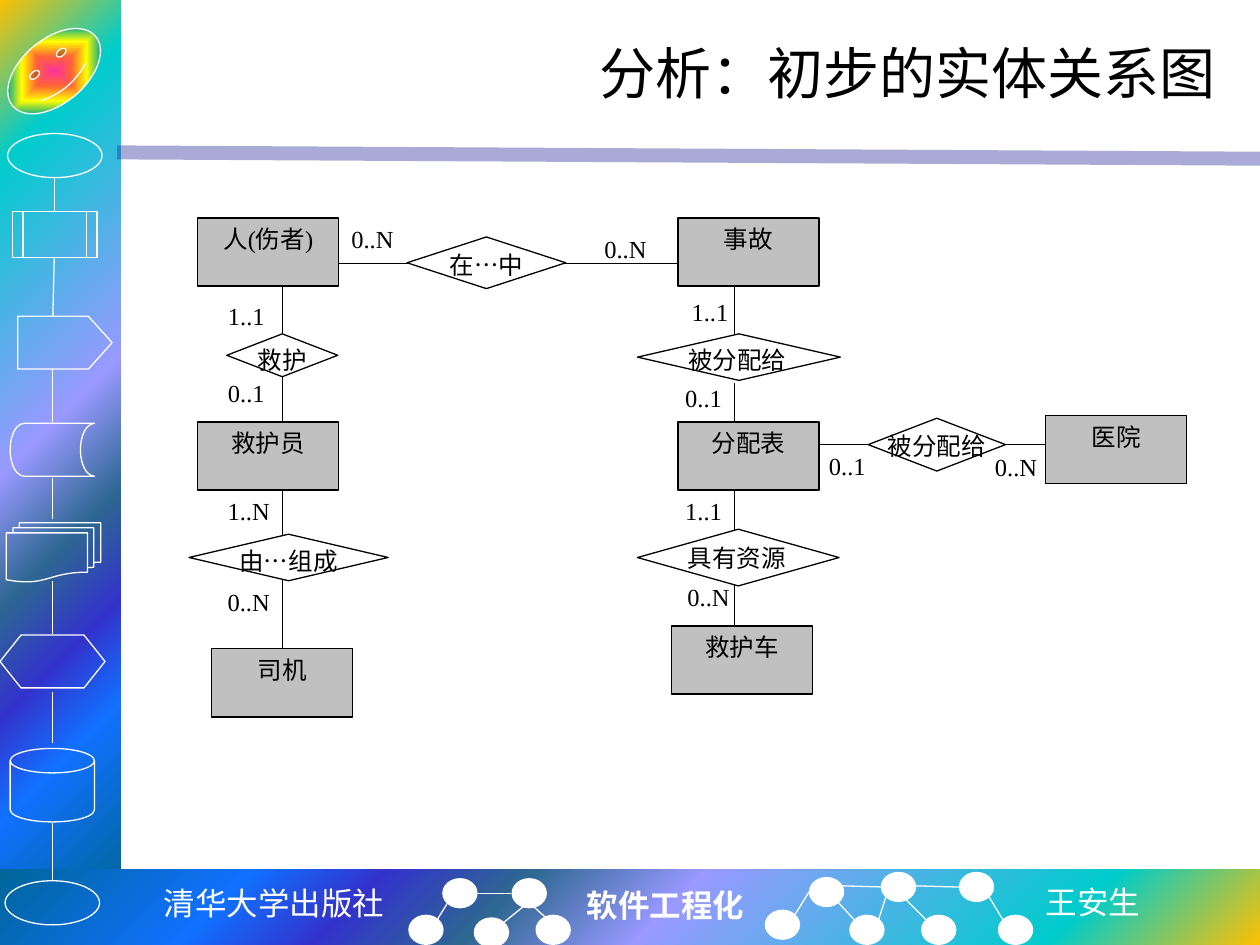
from lxml import etree
from pptx import Presentation
from pptx.dml.color import RGBColor
from pptx.enum.shapes import MSO_CONNECTOR, MSO_SHAPE
from pptx.enum.text import MSO_ANCHOR, PP_ALIGN
from pptx.oxml.ns import qn
from pptx.util import Pt

RECT, ELLIPSE = MSO_SHAPE.RECTANGLE, MSO_SHAPE.OVAL
DECISION = MSO_SHAPE.FLOWCHART_DECISION
STRAIGHT = MSO_CONNECTOR.STRAIGHT
LEFT, CENTER, RIGHT = PP_ALIGN.LEFT, PP_ALIGN.CENTER, PP_ALIGN.RIGHT
TOP, MIDDLE = MSO_ANCHOR.TOP, MSO_ANCHOR.MIDDLE

BLACK = RGBColor(0, 0, 0)
WHITE = RGBColor(255, 255, 255)
GRAY = RGBColor(0xC0, 0xC0, 0xC0)
RULE_BLUE = RGBColor(0x26, 0x26, 0x99)
SERIF, MONO, CJK = "Times New Roman", "Courier New", "Noto Sans CJK SC"

BAND_STOPS = [(0, "FFC000"), (16, "00CCCC"), (47, "9999FF"), (60, "2E6792"),
              (71, "3333CC"), (81, "1170FF"), (100, "006699")]
BADGE_STOPS = [(0, "FF3399"), (25, "FF6633"), (50, "FFFF00"),
               (75, "01A78F"), (100, "3366FF")]

FLOW_SYMBOLS = [
    (MSO_SHAPE.FLOWCHART_PREDEFINED_PROCESS, 7.2, 121, 48.2, 26),
    (MSO_SHAPE.FLOWCHART_STORED_DATA, 5.8, 241.9, 48.2, 30.2),
    (MSO_SHAPE.FLOWCHART_MAGNETIC_DISK, 5.8, 427.7, 48.2, 42),
    (MSO_SHAPE.FLOWCHART_PREPARATION, 0, 362.9, 60, 30.2),
    (MSO_SHAPE.FLOWCHART_MULTIDOCUMENT, 3.6, 298.8, 54, 33.8),
    (ELLIPSE, 4.3, 76.3, 54, 25.2),
    (ELLIPSE, 2.9, 503.3, 54, 25.2),
]
FLOW_LINKS = [(101, 121), (147.6, 180.7), (211, 241.2), (273, 296.6),
              (332, 362.2), (395.3, 424.8), (470.2, 503.3)]
NODES = [(252.7, 501.8), (462.2, 501.1), (233.3, 522.7), (485.3, 522.7),
         (503.3, 498.2), (270.7, 524.2), (547.9, 498.2), (570.2, 522.7),
         (526.3, 522.7), (292.3, 501.8), (437, 519.8), (306, 522.7)]
NODE_LINKS = [(249.8, 525.6, 255.6, 516.2), (288, 527, 299.5, 517.7),
              (292.3, 510.5, 272.9, 510.5), (488.2, 525.6, 478.8, 515.5),
              (529.2, 525.6, 514.8, 511.2), (573.1, 525.6, 565.2, 512.6),
              (501.8, 526.3, 506.2, 512.6), (522.7, 506.2, 547.9, 506.9),
              (454.3, 522.7, 462.2, 509.8), (481, 506.2, 506.2, 506.9),
              (312.5, 524.9, 305.3, 518.4)]

LEFT_COLUMN, RIGHT_COLUMN = 113, 387.4
ENTITIES = [("人(伤者)", LEFT_COLUMN, 124.6), ("救护员", LEFT_COLUMN, 241.2),
            ("司机", 121, 370.8), ("事故", RIGHT_COLUMN, 124.6),
            ("分配表", RIGHT_COLUMN, 241.2), ("救护车", 383.8, 357.8),
            ("医院", 597.6, 237.6)]
RELATION_LINES = [(161.3, 163.4, 161.3, 241.2), (161.3, 280.1, 161.3, 370.8),
                  (193.7, 150.7, 387.4, 150.7), (419.8, 163.4, 419.8, 241.2),
                  (419.8, 280.1, 419.8, 357.8), (468.4, 254.2, 597.6, 254.2)]
CARDINALITIES = [
    ("1..1", 110.2, 168.5, 48.2, RIGHT), ("0..1", 110.2, 212.4, 48.2, RIGHT),
    ("1..N", 96.5, 280.1, 64.8, RIGHT), ("0..N", 96.5, 331.9, 64.8, RIGHT),
    ("0..N", 193.7, 124.6, 64.8, LEFT), ("0..N", 311.8, 130.3, 64.8, RIGHT),
    ("1..1", 375.1, 166.3, 48.2, RIGHT), ("0..1", 371.5, 215.3, 48.2, RIGHT),
    ("1..1", 371.5, 280.1, 48.2, RIGHT), ("0..N", 359.3, 329, 64.8, RIGHT),
    ("0..1", 466.6, 254.2, 36.7, LEFT), ("0..N", 557.3, 254.9, 42.5, RIGHT)]
RELATIONS = [
    ("救护", 129.6, 190.8, 63.4, 24.5, CENTER, False),
    ("由…组成", 108, 305.3, 113.8, 26.6, CENTER, True),
    ("具有资源", 364.3, 302.4, 115.2, 32.4, LEFT, True),
    ("被分配给", 364.3, 190.8, 115.9, 26.6, LEFT, True),
    ("在…中", 232.6, 135.4, 90.7, 29.5, CENTER, True),
    ("被分配给", 496.1, 239, 78.5, 30.2, CENTER, False)]


def add_block(page, kind, x, y, width, height, fill=None, line=None):
    shape = page.shapes.add_shape(kind, Pt(x), Pt(y), Pt(width), Pt(height))
    shape.shadow.inherit = False
    if fill is None:
        shape.fill.background()
    else:
        shape.fill.solid()
        shape.fill.fore_color.rgb = fill
    if line is None:
        shape.line.fill.background()
    else:
        shape.line.color.rgb = line
        shape.line.width = Pt(0.75)
    return shape


def add_line(page, x1, y1, x2, y2, color, width=0.75):
    line = page.shapes.add_connector(STRAIGHT, Pt(x1), Pt(y1), Pt(x2), Pt(y2))
    line.line.color.rgb = color
    line.line.width = Pt(width)
    etree.SubElement(line._element.spPr, qn("a:effectLst"))
    return line


def apply_gradient(shape, stops, shading, focus):
    gradient = etree.Element(qn("a:gradFill"), rotWithShape="1")
    stop_list = etree.SubElement(gradient, qn("a:gsLst"))
    for position, color in stops:
        stop = etree.SubElement(stop_list, qn("a:gs"), pos=str(position * 1000))
        etree.SubElement(stop, qn("a:srgbClr"), val=color)
    shade = etree.SubElement(gradient, qn("a:path"), {"path": shading})
    sides = {side: str(value * 1000) for side, value in zip("ltrb", focus)}
    etree.SubElement(shade, qn("a:fillToRect"), sides)
    properties = shape._element.spPr
    properties.replace(properties.find(qn("a:noFill")), gradient)


def write(shape, text, size=14, color=BLACK, align=CENTER, anchor=TOP,
          font=SERIF, bold=False, wrap=True):
    frame = shape.text_frame
    frame.text = text
    frame.word_wrap = wrap
    frame.vertical_anchor = anchor
    para = frame.paragraphs[0]
    para.alignment = align
    span = para.runs[0]
    span.font.size = Pt(size)
    span.font.bold = bold
    span.font.color.rgb = color
    span.font.name = font
    etree.SubElement(span.font._element, qn("a:ea"), typeface=CJK)


def add_label(page, text, x, y, width, height, **style):
    box = page.shapes.add_textbox(Pt(x), Pt(y), Pt(width), Pt(height))
    write(box, text, **style)


def draw_frame(page):
    side = add_block(page, RECT, 0, 0, 69.1, 510.5)
    apply_gradient(side, BAND_STOPS, "circle", (0, 0, 100, 100))
    footer = add_block(page, RECT, 0, 496.8, 720, 43.2)
    apply_gradient(footer, BAND_STOPS, "circle", (100, 100, 0, 0))
    rule = add_line(page, 67, 87.1, 720, 90.7, RULE_BLUE, 8)
    color = next(rule._element.iter(qn("a:srgbClr")))
    etree.SubElement(color, qn("a:alpha"), val="39000")


def draw_sidebar(page):
    for symbol in FLOW_SYMBOLS:
        add_block(page, *symbol, line=WHITE)
    tag = add_block(page, MSO_SHAPE.PENTAGON, 10.1, 180.7, 54, 30.2, line=WHITE)
    tag.adjustments[0] = 0.45
    badge = add_block(page, MSO_SHAPE.SMILEY_FACE, 0, 22.3, 61.9, 36.7, line=WHITE)
    badge.adjustments[0] = 0.05
    badge.rotation = -40
    apply_gradient(badge, BADGE_STOPS, "shape", (50, 50, 50, 50))
    for index, (start, end) in enumerate(FLOW_LINKS):
        add_line(page, 31 if index < 2 else 30.2, start,
                 31 if index == 0 else 30.2, end, WHITE)


def draw_footer(page):
    for x, y in NODES:
        add_block(page, ELLIPSE, x, y, 20.2, 17.3, fill=WHITE)
    for link in NODE_LINKS:
        add_line(page, *link, WHITE)
    style = {"size": 18, "color": WHITE, "wrap": False}
    add_label(page, "清华大学出版社", 85.7, 501.8, 141.8, 28.8, font=MONO, **style)
    add_label(page, "软件工程化", 328.3, 502.6, 105.1, 28.8, bold=True,
              align=LEFT, **style)
    add_label(page, "王安生", 590.4, 501.1, 69.1, 28.8, font=CJK,
              align=LEFT, **style)


def draw_diagram(page):
    for line in RELATION_LINES:
        add_line(page, *line, BLACK)
    add_block(page, RECT, 385.9, 191.5, 72, 27.4, fill=WHITE)
    for name, x, y in ENTITIES:
        entity = add_block(page, RECT, x, y, 80.6, 38.9, GRAY, BLACK)
        write(entity, name)
    for text, x, y, width, align in CARDINALITIES:
        add_label(page, text, x, y, width, 38.9, align=align)
    for name, x, y, width, height, align, wrap in RELATIONS:
        relation = add_block(page, DECISION, x, y, width, height, WHITE, BLACK)
        write(relation, name, align=align, wrap=wrap)
        frame = relation.text_frame
        frame.margin_left = frame.margin_right = 0
        frame.margin_top = frame.margin_bottom = 0


def main():
    deck = Presentation()
    deck.slide_width, deck.slide_height = Pt(720), Pt(540)
    page = deck.slides.add_slide(deck.slide_layouts[6])
    draw_frame(page)
    draw_sidebar(page)
    draw_footer(page)
    add_label(page, "分析：初步的实体关系图", 90, 12.2, 612, 58.3,
              size=32, align=RIGHT, anchor=MIDDLE)
    draw_diagram(page)
    deck.save("out.pptx")


if __name__ == "__main__":
    main()
